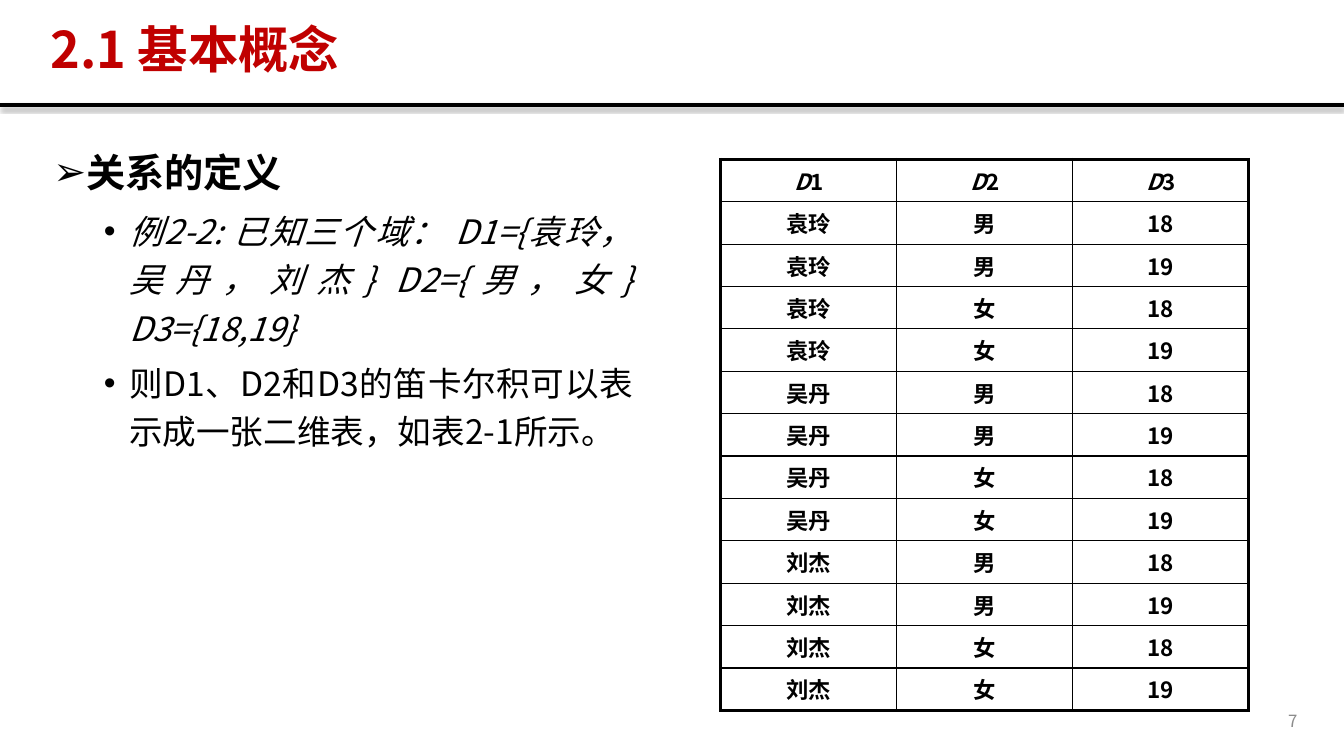
from itertools import product

from lxml import etree
from pptx import Presentation
from pptx.dml.color import RGBColor
from pptx.enum.shapes import MSO_CONNECTOR
from pptx.enum.text import MSO_ANCHOR, MSO_AUTO_SIZE, PP_ALIGN
from pptx.oxml.ns import qn
from pptx.util import Pt

FONT = "Noto Sans CJK SC"
BLACK = RGBColor(0x00, 0x00, 0x00)
RED = RGBColor(0xC0, 0x00, 0x00)
GRAY = RGBColor(0x8C, 0x8C, 0x8C)
JUSTIFY, CENTER, RIGHT = PP_ALIGN.JUSTIFY, PP_ALIGN.CENTER, PP_ALIGN.RIGHT
MIDDLE, TOP = MSO_ANCHOR.MIDDLE, MSO_ANCHOR.TOP
STRAIGHT = MSO_CONNECTOR.STRAIGHT
NO_FIT, GROW = MSO_AUTO_SIZE.NONE, MSO_AUTO_SIZE.SHAPE_TO_FIT_TEXT

PAGE_WIDTH, PAGE_HEIGHT = 960, 540
THIN, THICK = 1, 2.25
COLUMN_WIDTH, ROW_HEIGHT = 125.76, 29.2
DOMAINS = (("袁玲", "吴丹", "刘杰"), ("男", "女"), ("18", "19"))


def add_span(para, text, size, color=BLACK, bold=False, italic=False):
    """Add one formatted run to a paragraph."""
    span = para.add_run()
    span.text = text
    font = span.font
    font.size, font.bold, font.italic = Pt(size), bold, italic
    font.name = FONT
    font.color.rgb = color
    etree.SubElement(font._element, qn("a:ea"), typeface=FONT)


def place(shape, left, top, width, height, anchor, fit=NO_FIT):
    """Position a text shape and set how its frame behaves."""
    shape.left, shape.top = Pt(left), Pt(top)
    shape.width, shape.height = Pt(width), Pt(height)
    frame = shape.text_frame
    frame.word_wrap, frame.auto_size = True, fit
    frame.vertical_anchor = anchor
    return frame


def add_title(page, text):
    """Fill the title placeholder."""
    frame = place(page.shapes.title, 28.8, 13.7, 842.4, 46.8, MIDDLE, GROW)
    para = frame.paragraphs[0]
    para.alignment, para.line_spacing = JUSTIFY, 0.9
    add_span(para, text, 36, RED, bold=True)


def add_rule(page, top):
    """Draw the shadowed line below the title."""
    rule = page.shapes.add_connector(STRAIGHT, 0, Pt(top), Pt(PAGE_WIDTH), Pt(top))
    rule.line.color.rgb = BLACK
    rule.line.width = Pt(3)
    effects = etree.SubElement(rule._element.spPr, qn("a:effectLst"))
    shadow = etree.SubElement(
        effects, qn("a:outerShdw"), blurRad=str(Pt(3.1)), dist=str(Pt(1.8)),
        dir="5400000", algn="t", rotWithShape="0")
    color = etree.SubElement(shadow, qn("a:srgbClr"), val=str(BLACK))
    etree.SubElement(color, qn("a:alpha"), val="35000")


def format_bullet(para, level, mark, margin, space):
    """Set the level, bullet, indent and spacing of a list paragraph."""
    para.level, para.alignment = level, JUSTIFY
    para.line_spacing, para.space_before = 1.2, Pt(space)
    properties = para._p.get_or_add_pPr()
    properties.set("marL", str(Pt(margin)))
    properties.set("indent", str(Pt(-18)))
    etree.SubElement(properties, qn("a:buFont"), typeface="Arial")
    etree.SubElement(properties, qn("a:buChar"), char=mark)


def add_body(page, heading, items):
    """Fill the body placeholder with a heading and its list items."""
    frame = place(page.placeholders[1], 31, 95.8, 428.4, 390.2, TOP)
    para = frame.paragraphs[0]
    format_bullet(para, 0, "➢", 18, 0)
    add_span(para, heading, 28, bold=True)
    for text, italic in items:
        para = frame.add_paragraph()
        format_bullet(para, 1, "•", 54, 5)
        add_span(para, text, 24, italic=italic)


def add_border(cell, side, width):
    """Draw one side of a table cell."""
    line = etree.SubElement(
        cell._tc.get_or_add_tcPr(), qn(f"a:ln{side}"), w=str(Pt(width)))
    fill = etree.SubElement(line, qn("a:solidFill"))
    etree.SubElement(fill, qn("a:srgbClr"), val=str(BLACK))


def add_product_table(page, left, top):
    """Build the table of the Cartesian product of the domains."""
    header = [(("D", True), (str(n), False)) for n in range(1, len(DOMAINS) + 1)]
    rows = [header]
    rows += [[((value, False),) for value in values] for values in product(*DOMAINS)]
    last_row, last_column = len(rows) - 1, len(header) - 1
    table = page.shapes.add_table(
        len(rows), len(header), Pt(left), Pt(top),
        Pt(COLUMN_WIDTH * len(header)), Pt(ROW_HEIGHT * len(rows))).table
    table.first_row = table.horz_banding = False
    for column in table.columns:
        column.width = Pt(COLUMN_WIDTH)
    for row_index, row in enumerate(rows):
        table.rows[row_index].height = Pt(ROW_HEIGHT)
        for column_index, spans in enumerate(row):
            cell = table.cell(row_index, column_index)
            outer = {"L": column_index == 0, "R": column_index == last_column,
                     "T": row_index == 0, "B": row_index == last_row}
            for side, is_outer in outer.items():
                add_border(cell, side, THICK if is_outer else THIN)
            cell.fill.background()
            cell.vertical_anchor = MIDDLE
            para = cell.text_frame.paragraphs[0]
            para.alignment = CENTER
            for text, italic in spans:
                add_span(para, text, 16, bold=True, italic=italic)


def add_page_number(page, number):
    """Write the page number at the lower right."""
    box = page.shapes.add_textbox(0, 0, 0, 0)
    para = place(box, 717.8, 500.4, 216, 28.8, MIDDLE).paragraphs[0]
    para.alignment = RIGHT
    add_span(para, number, 12, GRAY)


def main():
    """Build the slide and save the deck."""
    deck = Presentation()
    deck.slide_width, deck.slide_height = Pt(PAGE_WIDTH), Pt(PAGE_HEIGHT)
    page = deck.slides.add_slide(deck.slide_layouts[1])
    add_rule(page, 75)
    add_title(page, "2.1 基本概念")
    add_body(page, "关系的定义", [
        ("例2-2: 已知三个域： D1={袁玲，吴丹，刘杰} D2={男，女} D3={18,19}", True),
        ("则D1、D2和D3的笛卡尔积可以表示成一张二维表，如表2-1所示。", False),
    ])
    add_product_table(page, 514.8, 113.8)
    add_page_number(page, "7")
    deck.save("out.pptx")


if __name__ == "__main__":
    main()
